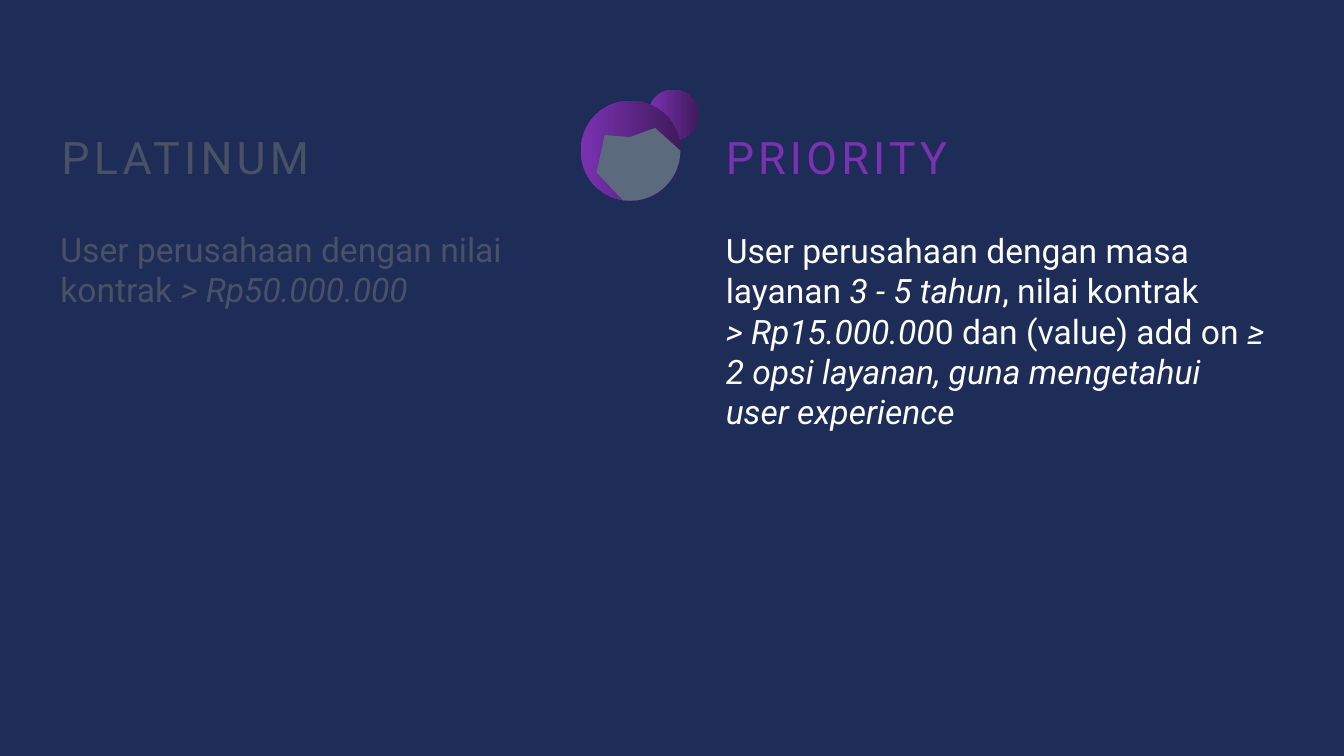
from math import cos, radians, sin

from pptx import Presentation
from pptx.dml.color import RGBColor
from pptx.enum.shapes import MSO_SHAPE as Shape
from pptx.enum.text import MSO_AUTO_SIZE as AutoSize
from pptx.util import Pt

COLORS = {
    "background": "1D2D58",
    "muted": "495165",
    "white": "FFFFFF",
    "purple": "7B32B2",
    "dark_purple": "401A5D",
    "facet": "5B6B7D",
}
FONT = "Roboto"
BALL_LEFT, BALL_TOP, BALL_SIZE = 414.7, 72, 71.3


def rgb(name):
    return RGBColor.from_string(COLORS[name])


def add_text(slide, left, top, width, height, paragraphs, size, color,
             wrap=True, spacing=None):
    """Each paragraph is a list of (text, italic) runs."""
    box = slide.shapes.add_textbox(Pt(left), Pt(top), Pt(width), Pt(height))
    frame = box.text_frame
    frame.margin_left = frame.margin_right = 0
    frame.margin_top = frame.margin_bottom = 0
    frame.word_wrap = wrap
    frame.auto_size = AutoSize.NONE if wrap else AutoSize.SHAPE_TO_FIT_TEXT
    for index, runs in enumerate(paragraphs):
        paragraph = frame.add_paragraph() if index else frame.paragraphs[0]
        for text, italic in runs:
            run = paragraph.add_run()
            run.text = text
            run.font.name = FONT
            run.font.size = Pt(size)
            run.font.italic = italic
            run.font.color.rgb = rgb(color)
            if spacing:
                run.font._element.set("spc", str(spacing * 100))


def add_heading(slide, left, width, text, color):
    add_text(slide, left, 92.9, width, 38.9, [[(text, False)]], 32, color,
             wrap=False, spacing=3)


def add_ball(slide, left, top, size):
    shape = slide.shapes.add_shape(Shape.OVAL, Pt(left), Pt(top), Pt(size), Pt(size))
    shape.shadow.inherit = False
    shape.line.fill.background()
    shape.fill.gradient()
    shape.fill.gradient_angle = 0
    for stop, name in zip(shape.fill.gradient_stops, ("purple", "dark_purple")):
        stop.color.rgb = rgb(name)


def add_facet(slide):
    # The lower right edge follows the rim of the large ball
    radius = BALL_SIZE / 2
    center_x, center_y = BALL_LEFT + radius, BALL_TOP + radius
    rim = [(center_x + radius * cos(radians(angle)),
            center_y + radius * sin(radians(angle))) for angle in range(0, 100, 3)]
    corners = [(426.2, 123.1), (432, 96.5), (450, 97.9)]
    builder = slide.shapes.build_freeform(Pt(468), Pt(91.4))
    builder.add_line_segments([(Pt(x), Pt(y)) for x, y in rim + corners], close=True)
    shape = builder.convert_to_shape()
    shape.shadow.inherit = False
    shape.line.fill.background()
    shape.fill.solid()
    shape.fill.fore_color.rgb = rgb("facet")


def main():
    presentation = Presentation()
    presentation.slide_width, presentation.slide_height = Pt(960), Pt(540)
    slide = presentation.slides.add_slide(presentation.slide_layouts[6])
    slide.background.fill.solid()
    slide.background.fill.fore_color.rgb = rgb("background")

    # Planet emblem
    add_ball(slide, 463, 64.1, 36)
    add_ball(slide, BALL_LEFT, BALL_TOP, BALL_SIZE)
    add_facet(slide)

    # Platinum tier, dimmed
    add_heading(slide, 43.9, 182, "PLATINUM", "muted")
    add_text(slide, 43.2, 163.4, 341.3, 121.7, [
        [("User perusahaan dengan nilai kontrak ", False), ("> Rp50.000.000", True)],
    ], 24, "muted")

    # Priority tier, highlighted
    add_heading(slide, 518.4, 162, "PRIORITY", "purple")
    add_text(slide, 518.4, 164.2, 387.4, 161.3, [
        [("User perusahaan dengan masa layanan ", False), ("3 - 5 tahun", True),
         (", nilai kontrak", False)],
        [("> Rp15.000.00", True), ("0 dan (value) add on ", False),
         ("≥ 2 opsi layanan, guna mengetahui user experience", True)],
    ], 24, "white")

    presentation.save("out.pptx")


if __name__ == "__main__":
    main()
